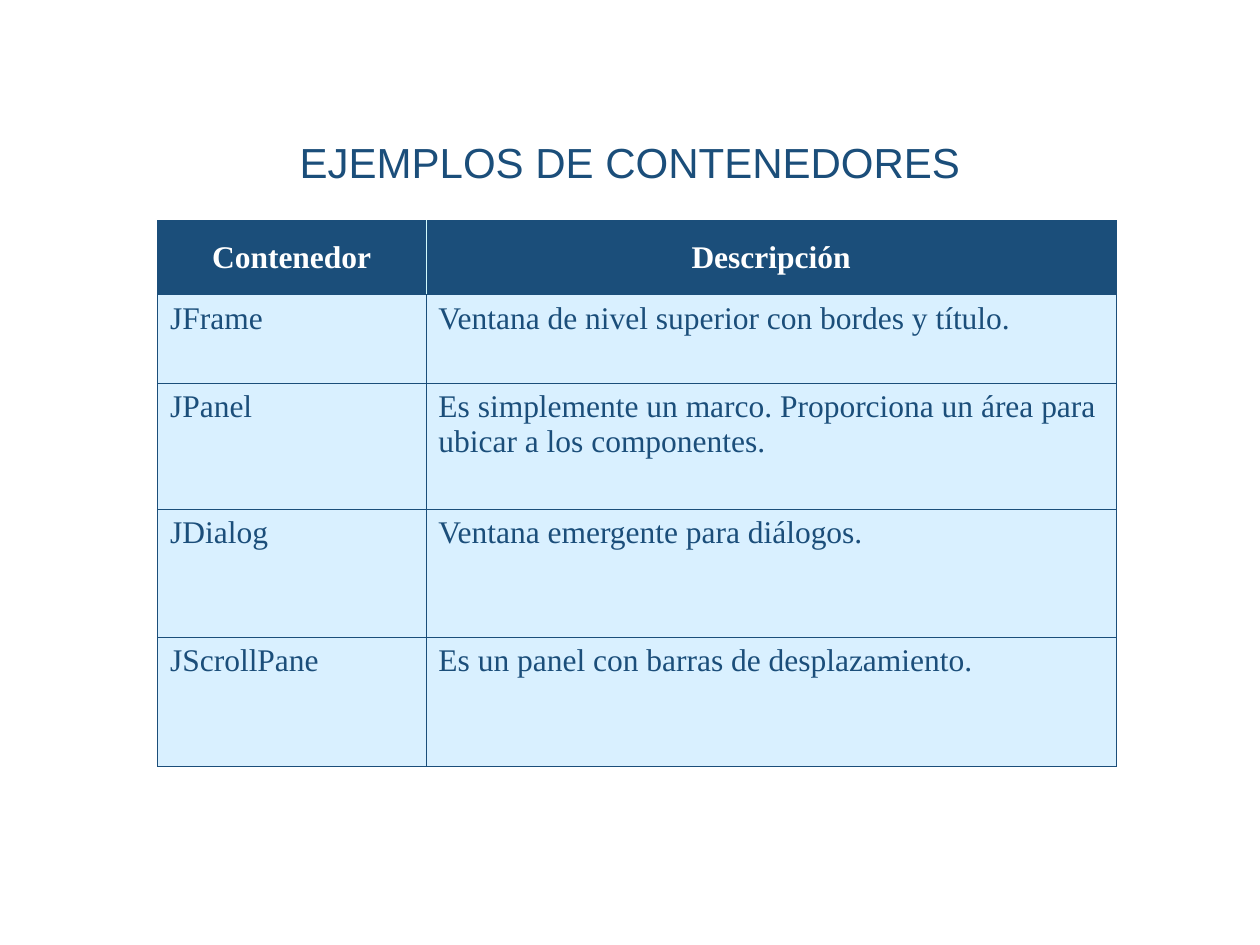
from lxml import etree
from pptx import Presentation
from pptx.dml.color import RGBColor
from pptx.enum import text
from pptx.oxml import ns
from pptx.util import Inches, Pt

NAVY, SKY, ICE, WHITE = "1B4E7A", "D9F0FF", "D3FBFD", "FFFFFF"
ROWS = [
    ("Contenedor", "Descripción"),
    ("JFrame", "Ventana de nivel superior con bordes y título."),
    ("JPanel", "Es simplemente un marco. Proporciona un área para ubicar a los componentes."),
    ("JDialog", "Ventana emergente para diálogos."),
    ("JScrollPane", "Es un panel con barras de desplazamiento."),
]
COL_WIDTHS = [2.13, 5.48]
ROW_HEIGHTS = [0.59, 0.7, 1, 1.02, 1.02]


def rgb(value):
    """Turn a hex string into a colour."""
    return RGBColor.from_string(value)


def style_run(p, name, size, color, bold=False):
    """Format every run of a paragraph."""
    for r in p.runs:
        r.font.name, r.font.size, r.font.bold = name, Pt(size), bold
        r.font.color.rgb = rgb(color)


def set_borders(cell, colors):
    """Draw thin cell borders from a side-to-colour mapping."""
    tc_pr = cell._tc.get_or_add_tcPr()
    for i, (side, color) in enumerate(colors.items()):
        ln = etree.Element(ns.qn(f"a:ln{side}"), w=str(Pt(0.45)))
        fill = etree.SubElement(ln, ns.qn("a:solidFill"))
        etree.SubElement(fill, ns.qn("a:srgbClr"), val=color)
        tc_pr.insert(i, ln)


def add_title(slide, left, top, width, height):
    """Place the centred heading in its box."""
    box = slide.shapes.add_textbox(Inches(left), Inches(top), Inches(width), Inches(height))
    tf = box.text_frame
    tf.word_wrap = True
    tf.vertical_anchor = text.MSO_ANCHOR.MIDDLE
    tf.text = "EJEMPLOS DE CONTENEDORES"
    p = tf.paragraphs[0]
    p.alignment = text.PP_ALIGN.CENTER
    style_run(p, "Arial", 24, NAVY)


def fill_cell(cell, label, header, first):
    """Write and style one table cell."""
    cell.fill.solid()
    cell.fill.fore_color.rgb = rgb(NAVY if header else SKY)
    cell.text_frame.text = label
    p = cell.text_frame.paragraphs[0]
    borders = dict.fromkeys("LRTB", NAVY)
    if header:
        p.alignment = text.PP_ALIGN.CENTER
        p.line_spacing = 1.4
        borders["R" if first else "L"] = ICE
    style_run(p, "Times New Roman", 18, WHITE if header else NAVY, header)
    set_borders(cell, borders)


def add_container_table(slide, left, top, width, height):
    """Place the table of containers in its box."""
    table = slide.shapes.add_table(
        len(ROWS), len(COL_WIDTHS), Inches(left), Inches(top), Inches(width), Inches(height)
    ).table
    for col, w in zip(table.columns, COL_WIDTHS):
        col.width = Inches(w)
    for row, h in zip(table.rows, ROW_HEIGHTS):
        row.height = Inches(h)
    for i, labels in enumerate(ROWS):
        for j, label in enumerate(labels):
            fill_cell(table.cell(i, j), label, i == 0, j == 0)


def main():
    """Build and save the slide."""
    prs = Presentation()
    prs.slide_width, prs.slide_height = Inches(10), Inches(7.5)
    slide = prs.slides.add_slide(prs.slide_layouts[6])
    add_title(slide, 0.75, 0.66, 8.5, 1.25)
    add_container_table(slide, 1.25, 1.75, sum(COL_WIDTHS), sum(ROW_HEIGHTS))
    prs.save("out.pptx")


if __name__ == "__main__":
    main()
